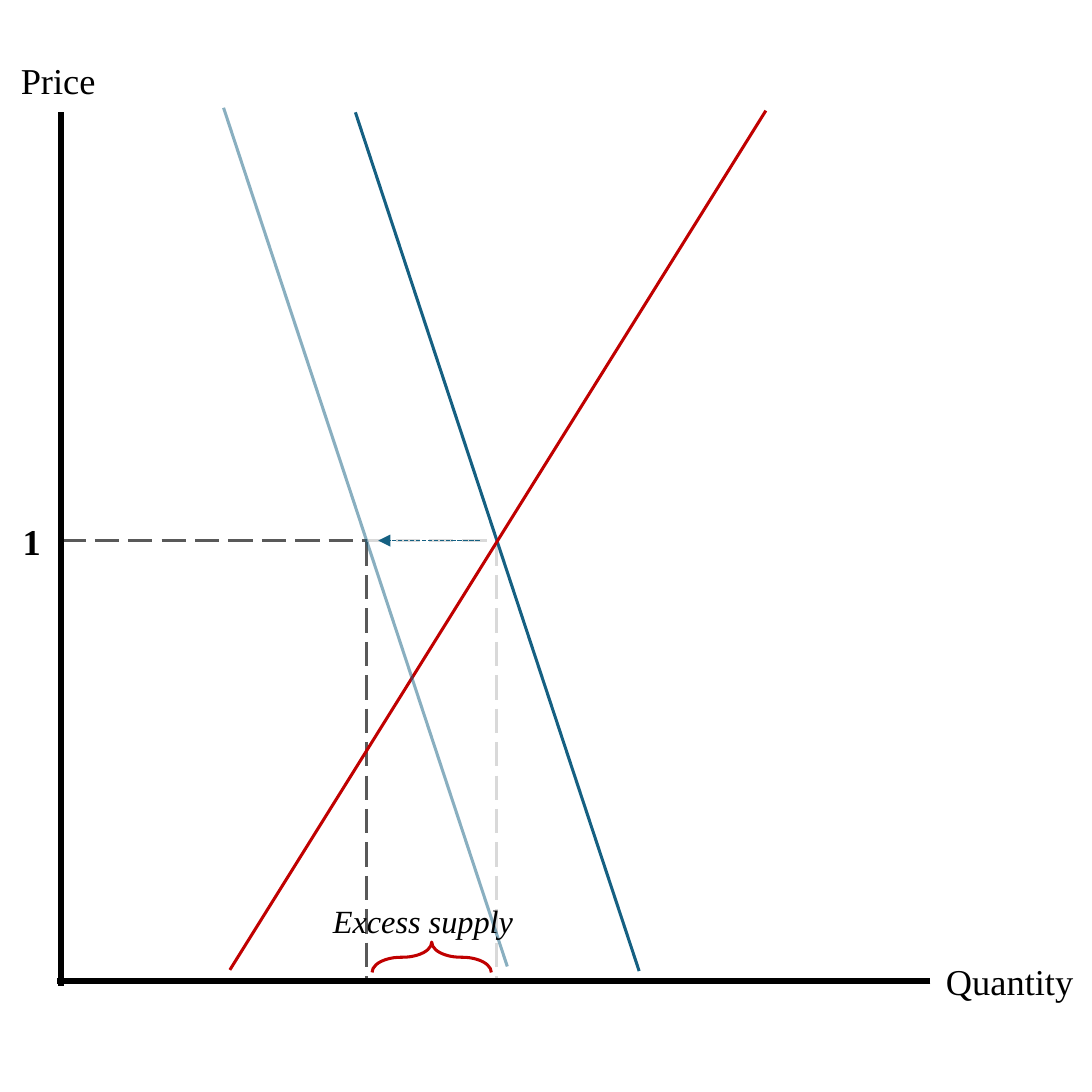
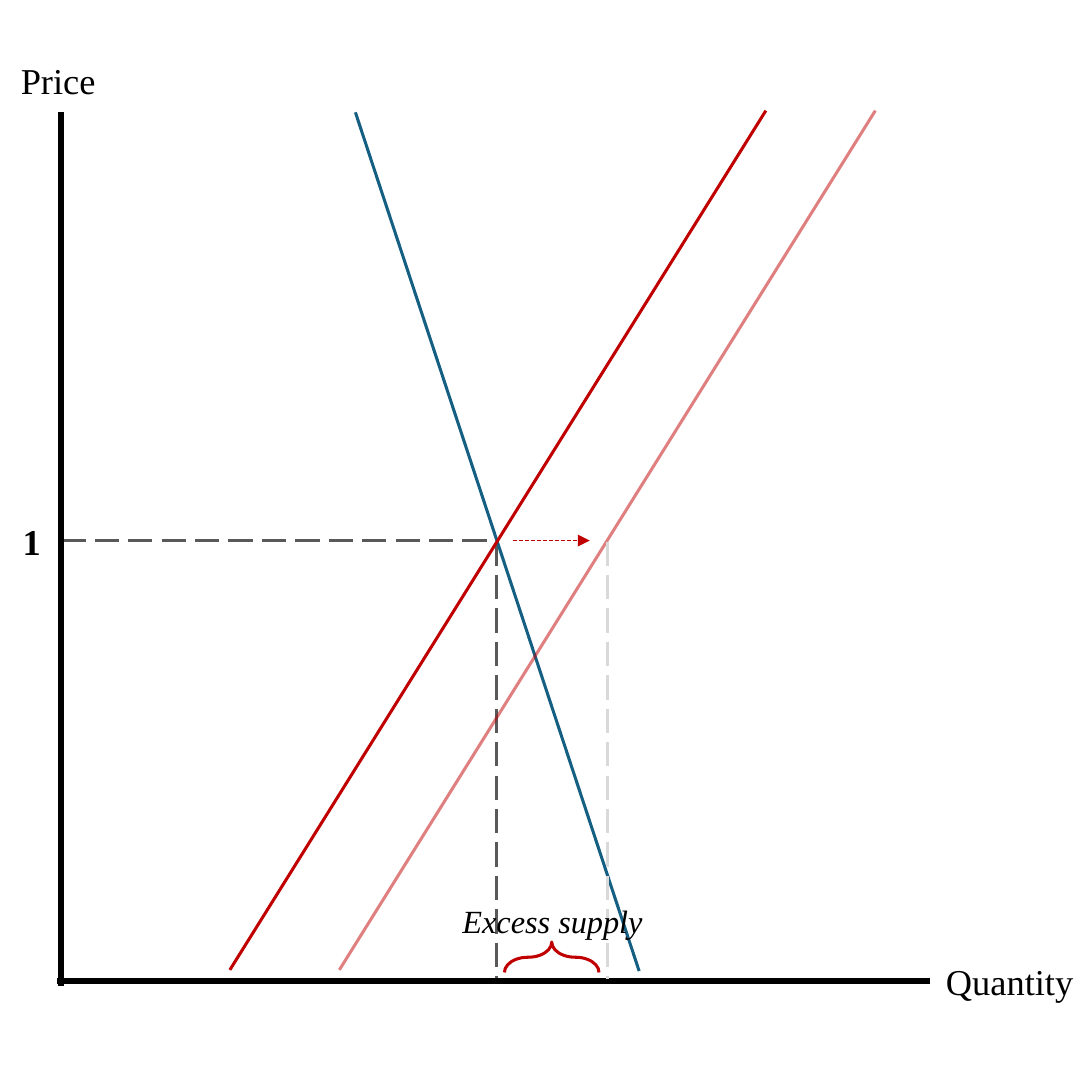
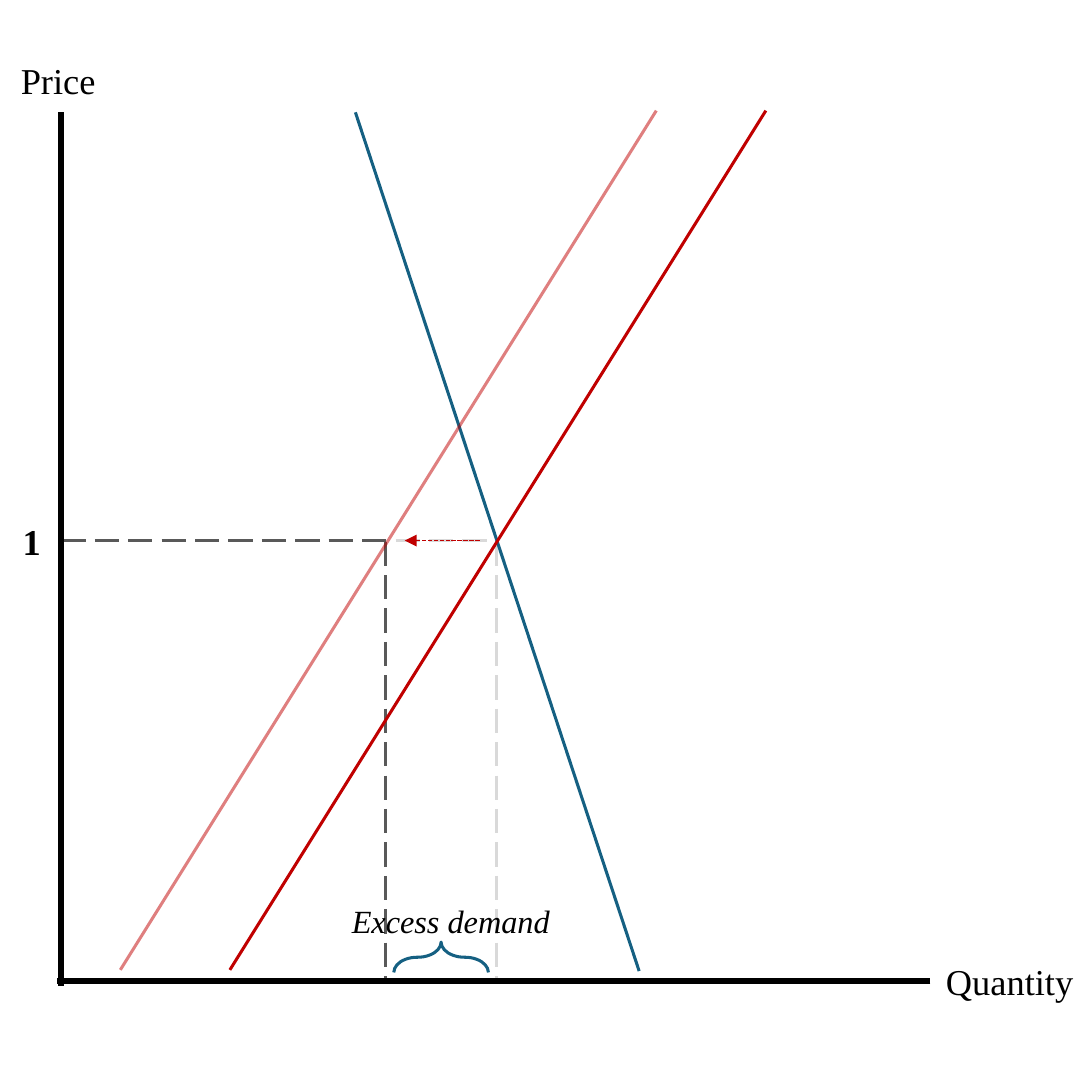
from lxml import etree
from pptx import Presentation
from pptx.dml.color import RGBColor
from pptx.enum.dml import MSO_LINE
from pptx.enum.shapes import MSO_CONNECTOR, MSO_SHAPE
from pptx.enum.text import MSO_ANCHOR, PP_ALIGN
from pptx.oxml.ns import qn
from pptx.util import Cm, Pt

STRAIGHT = MSO_CONNECTOR.STRAIGHT
LEFT_BRACE = MSO_SHAPE.LEFT_BRACE
LONG_DASH = MSO_LINE.LONG_DASH
SHORT_DASH = MSO_LINE.SQUARE_DOT
MIDDLE = MSO_ANCHOR.MIDDLE
CENTER = PP_ALIGN.CENTER

COLORS = {
    "axis": "000000",
    "text": "000000",
    "demand": "156082",
    "supply": "C00000",
    "guide": "595959",
    "faint": "D9D9D9",
}
FONT = "Times New Roman"

AXIS_X, AXIS_Y = 1.07, 17.12
PRICE_Y = 9.43
GUIDE_TOP, GUIDE_BOTTOM = 9.45, 17.07
EQUILIBRIUM = 8.66
ARROW_GAP = 0.29
BRACE_Y, BRACE_DEPTH = 16.7, 0.53
CURVES = {
    "demand": (6.2, 1.96, 11.15, 16.94),
    "supply": (13.36, 1.93, 4.01, 16.92),
}

SCENARIOS = [
    {"curve": "demand", "shift": (-2.3, -0.08), "quantity": 6.4, "arrow_end": 6.6,
     "brace": ("supply", 2.08, 0.96), "label": ("Excess supply", 5.49, 3.78)},
    {"curve": "supply", "shift": (1.91, 0), "quantity": 10.59, "arrow_end": 10.29,
     "brace": ("supply", 1.65, 0.77), "label": ("Excess supply", 7.75, 3.78)},
    {"curve": "supply", "shift": (-1.91, 0), "quantity": 6.73, "arrow_end": 7.06,
     "brace": ("demand", 1.65, 0.77), "label": ("Excess demand", 5.82, 4.09)},
]


def add_line(page, ends, color, width=1.5, dash=None, alpha=None, arrow=False):
    connector = page.shapes.add_connector(STRAIGHT, *[Cm(value) for value in ends])
    connector.line.color.rgb = RGBColor.from_string(COLORS[color])
    connector.line.width = Pt(width)
    if dash:
        connector.line.dash_style = dash
    properties = connector._element.spPr
    outline = properties.find(qn("a:ln"))
    if alpha:
        fill_color = outline.find(".//" + qn("a:srgbClr"))
        etree.SubElement(fill_color, qn("a:alpha"), val=str(alpha * 1000))
    if arrow:
        etree.SubElement(outline, qn("a:tailEnd"), type="triangle")
    etree.SubElement(properties, qn("a:effectLst"))


def add_label(page, text, left, top, width, height, size=18, bold=False, italic=False):
    box = page.shapes.add_textbox(Cm(left), Cm(top), Cm(width), Cm(height))
    frame = box.text_frame
    frame.word_wrap = False
    frame.vertical_anchor = MIDDLE
    para = frame.paragraphs[0]
    para.alignment = CENTER
    span = para.add_run()
    span.text = text
    span.font.name = FONT
    span.font.size = Pt(size)
    span.font.bold = bold
    span.font.italic = italic
    span.font.color.rgb = RGBColor.from_string(COLORS["text"])


deck = Presentation()
deck.slide_width = deck.slide_height = Cm(19.05)
blank = deck.slide_layouts[6]

for scenario in SCENARIOS:
    page = deck.slides.add_slide(blank)
    quantity = scenario["quantity"]
    traded, untraded = sorted((EQUILIBRIUM, quantity))
    moves_right = quantity > EQUILIBRIUM
    faint_guide = (untraded, GUIDE_TOP, untraded, GUIDE_BOTTOM)

    if not moves_right:
        add_line(page, (AXIS_X, PRICE_Y, EQUILIBRIUM, PRICE_Y), "faint", dash=LONG_DASH)
        add_line(page, faint_guide, "faint", dash=LONG_DASH)
    add_line(page, (AXIS_X, PRICE_Y, traded, PRICE_Y), "guide", dash=LONG_DASH)
    add_line(page, (traded, GUIDE_TOP, traded, GUIDE_BOTTOM), "guide", dash=LONG_DASH)

    add_line(page, (AXIS_X, 1.96, AXIS_X, 17.2), "axis", width=3)
    add_line(page, (16.23, AXIS_Y, 0.99, AXIS_Y), "axis", width=3)
    add_label(page, "1", 0.1, 8.88, 0.91, 1.12, bold=True)
    add_label(page, "Price", 0.05, 0.83, 1.93, 1.14)
    add_label(page, "Quantity", 16.23, 16.61, 2.77, 1.02)

    for curve, ends in CURVES.items():
        add_line(page, ends, curve)
    shifted = scenario["curve"]
    across, down = scenario["shift"]
    left, top, right, bottom = CURVES[shifted]
    add_line(page, (left + across, top + down, right + across, bottom + down), shifted, alpha=50)
    if moves_right:
        add_line(page, faint_guide, "faint", dash=LONG_DASH)

    arrow_start = EQUILIBRIUM + (ARROW_GAP if moves_right else -ARROW_GAP)
    add_line(page, (arrow_start, PRICE_Y, scenario["arrow_end"], PRICE_Y), shifted,
             width=0.75, dash=SHORT_DASH, arrow=True)

    brace_color, length, curl = scenario["brace"]
    middle = (traded + untraded) / 2
    brace = page.shapes.add_shape(LEFT_BRACE, Cm(middle - BRACE_DEPTH / 2),
                                  Cm(BRACE_Y - length / 2), Cm(BRACE_DEPTH), Cm(length))
    brace.rotation = 90
    brace.adjustments[0] = curl
    brace.shadow.inherit = False
    brace.fill.background()
    brace.line.color.rgb = RGBColor.from_string(COLORS[brace_color])
    brace.line.width = Pt(1.5)

    text, label_left, label_width = scenario["label"]
    add_label(page, text, label_left, 15.54, label_width, 1.04, size=16, italic=True)

deck.save("out.pptx")
